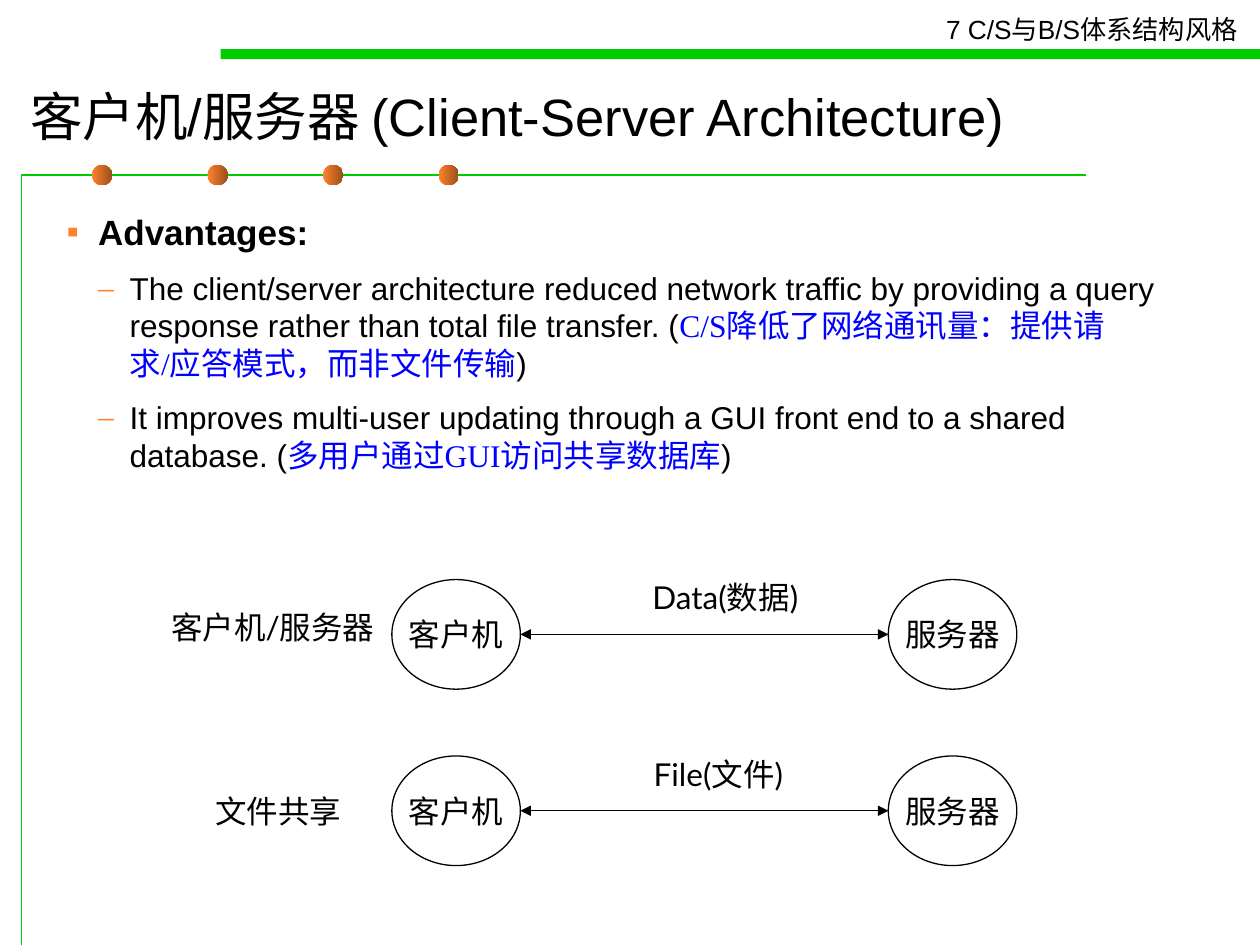
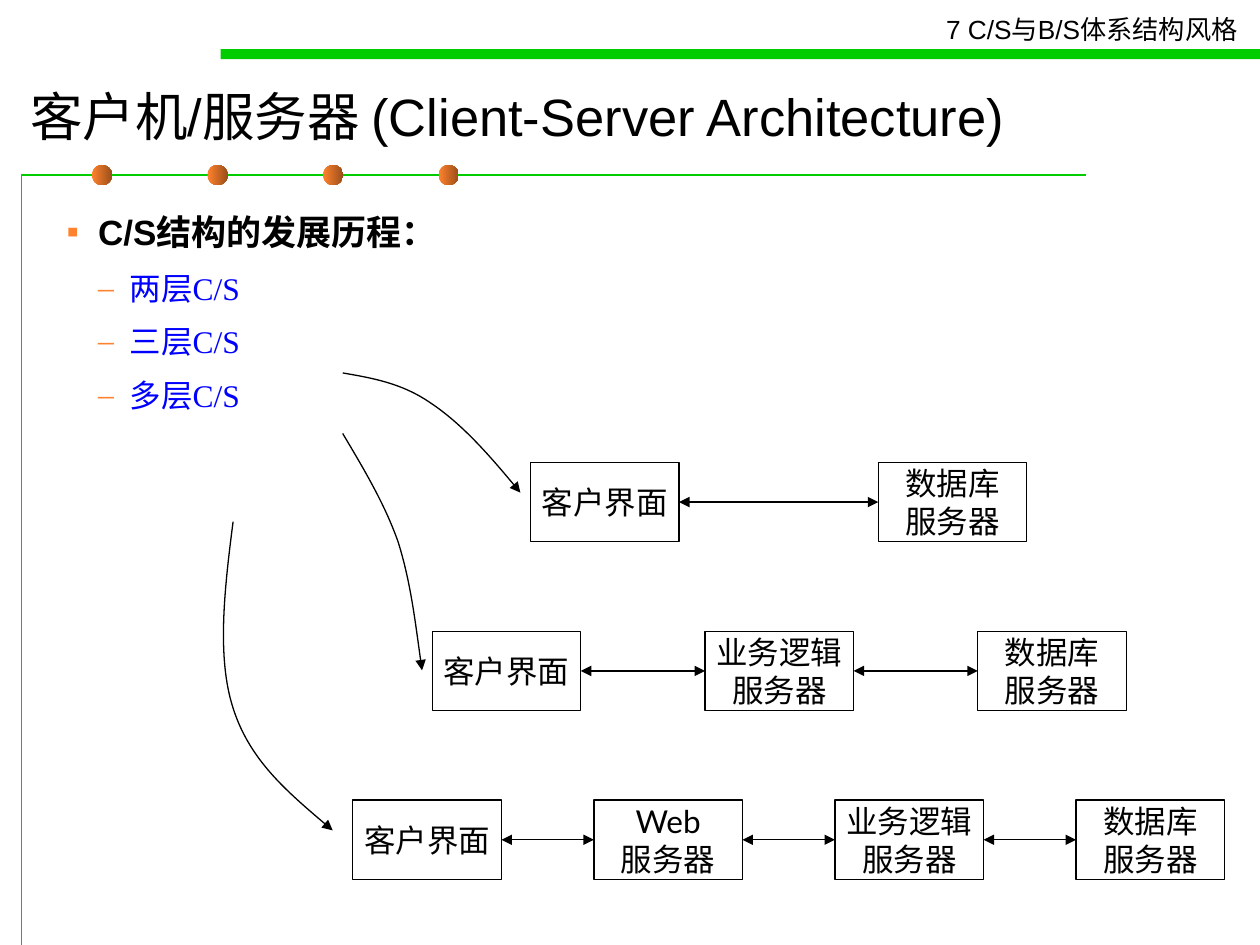
from lxml import etree
from pptx import Presentation
from pptx.dml.color import RGBColor
from pptx.enum.shapes import MSO_CONNECTOR, MSO_SHAPE
from pptx.enum.text import MSO_ANCHOR, MSO_AUTO_SIZE, PP_ALIGN
from pptx.oxml.ns import qn
from pptx.util import Inches, Pt

STRAIGHT = MSO_CONNECTOR.STRAIGHT
OVAL, RECTANGLE = MSO_SHAPE.OVAL, MSO_SHAPE.RECTANGLE
MIDDLE, CENTER = MSO_ANCHOR.MIDDLE, PP_ALIGN.CENTER
GROW = MSO_AUTO_SIZE.SHAPE_TO_FIT_TEXT
LEFT_SIDE, RIGHT_SIDE = 1, 3

COLORS = {"text": "000000", "paper": "FFFFFF", "green": "00CC00",
          "orange": "FF822D", "brown": "9B4F1B", "blue": "0000FF"}
HEADING, DIAGRAM, CHINESE = "Arial", "Lato", "Times New Roman"
CHAPTER = "7 C/S与B/S体系结构风格"
TITLE = "客户机/服务器 (Client-Server Architecture)"
# indent, space before, space after, size, bullet
LEVELS = [(0.25, 8.8, 3.7, 20, "▪"), (0.5, 5.6, 3.4, 18, "–")]


def rgb(name):
    return RGBColor.from_string(COLORS[name])


def style_font(font, size, name, color="text", bold=False):
    font.size, font.name, font.bold = Pt(size), name, bold
    font.color.rgb = rgb(color)


def style_line(line, color="text", width=0.75):
    line.color.rgb = rgb(color)
    line.width = Pt(width)


def add_arrowheads(line, *ends):
    for end in ends:
        etree.SubElement(line._get_or_add_ln(), qn(f"a:{end}"), type="triangle")


def add_text(page, box, text, size, font, wrap=False, grow=True):
    frame = page.shapes.add_textbox(*map(Inches, box)).text_frame
    frame.text = text
    frame.word_wrap = wrap
    if grow:
        frame.auto_size = GROW
    style_font(frame.paragraphs[0].runs[0].font, size, font)
    return frame


def add_node(page, kind, box, text):
    node = page.shapes.add_shape(kind, *map(Inches, box))
    node.shadow.inherit = False
    node.fill.solid()
    node.fill.fore_color.rgb = rgb("paper")
    style_line(node.line)
    frame = node.text_frame
    frame.text = text
    frame.word_wrap = False
    frame.vertical_anchor = MIDDLE
    for para in frame.paragraphs:
        para.alignment = CENTER
        style_font(para.runs[0].font, 18, DIAGRAM)
    return node


def add_double_arrow(page, start, end):
    """Arrow from the right side of one node to the left side of the next."""
    arrow = page.shapes.add_connector(
        STRAIGHT, start.left + start.width, start.top + start.height // 2,
        end.left, end.top + end.height // 2)
    etree.SubElement(arrow._element.spPr, qn("a:effectLst"))
    style_line(arrow.line)
    add_arrowheads(arrow.line, "headEnd", "tailEnd")
    return arrow


def add_outline(page, points, color="text", width=0.75):
    corners = [(Inches(x), Inches(y)) for x, y in points]
    builder = page.shapes.build_freeform(*corners[0])
    builder.add_line_segments(corners[1:], close=False)
    outline = builder.convert_to_shape()
    outline.shadow.inherit = False
    outline.fill.background()
    style_line(outline.line, color, width)
    return outline


def add_curved_arrow(page, points):
    """Turn each three points after the start into one Bezier segment."""
    curve = add_outline(page, points)
    path = next(curve._element.iter(qn("a:path")))
    segments = path.findall(qn("a:lnTo"))
    for first in range(0, len(segments), 3):
        bezier = etree.SubElement(path, qn("a:cubicBezTo"))
        for segment in segments[first:first + 3]:
            bezier.append(segment[0])
            path.remove(segment)
    add_arrowheads(curve.line, "tailEnd")


def add_frame(page):
    """Corner rule, dots, top band, chapter name and title."""
    add_outline(page, [(0.17, 7.5), (0.17, 1.39), (8.62, 1.39)], "green", 1)
    for index in range(4):
        dot = page.shapes.add_shape(OVAL, Inches(0.73 + index * 0.917),
                                    Inches(1.31), Inches(0.16), Inches(0.16))
        dot.shadow.inherit = False
        dot.line.fill.background()
        dot.fill.gradient()
        dot.fill.gradient_angle = 0
        for stop, color, position in zip(dot.fill.gradient_stops,
                                         ("orange", "brown"), (0, 1)):
            stop.color.rgb = rgb(color)
            stop.position = position
    band = page.shapes.add_shape(RECTANGLE, Inches(1.75), Inches(0.39),
                                 Inches(8.25), Inches(0.08))
    band.shadow.inherit = False
    band.fill.solid()
    band.fill.fore_color.rgb = rgb("green")
    band.line.fill.background()
    # The chapter name fills its box up to the right edge
    chapter = add_text(page, (7.41, 0.06, 2.59, 0.35), CHAPTER, 15, HEADING,
                       wrap=True, grow=False)
    chapter.margin_right = 0
    title = add_text(page, (0.14, 0.56, 9.29, 0.71), TITLE, 30, HEADING,
                     wrap=True, grow=False)
    title.vertical_anchor = MIDDLE


def add_bullet(para, indent, symbol):
    properties = para._p.get_or_add_pPr()
    properties.set("marL", str(Inches(indent)))
    properties.set("indent", str(-Inches(0.25)))
    color = etree.SubElement(properties, qn("a:buClr"))
    etree.SubElement(color, qn("a:srgbClr"), val=COLORS["orange"])
    etree.SubElement(properties, qn("a:buFont"), typeface=CHINESE)
    etree.SubElement(properties, qn("a:buChar"), char=symbol)


def add_body(page, heading, items):
    """Bold heading, then items made of (text, is_chinese) spans."""
    frame = page.shapes.add_textbox(Inches(0.43), Inches(1.62),
                                    Inches(8.98), Inches(5.59)).text_frame
    frame.word_wrap = True
    for index, spans in enumerate([[(heading, False)], *items]):
        level = min(index, 1)
        indent, before, after, size, symbol = LEVELS[level]
        para = frame.add_paragraph() if index else frame.paragraphs[0]
        para.level = level
        add_bullet(para, indent, symbol)
        if index:
            para.space_before = Pt(before)
        para.space_after = Pt(after)
        for text, is_chinese in spans:
            span = para.add_run()
            span.text = text
            style_font(span.font, size, CHINESE if is_chinese else HEADING,
                       "blue" if is_chinese else "text", bold=level == 0)


def add_exchange(page, top, message, message_box, label, label_box, wrap):
    """Client and server circles with the message that passes between them."""
    client, server = [add_node(page, OVAL, (left, top, 1.02, 0.87), text)
                      for left, text in ((3.11, "客户机"), (7.05, "服务器"))]
    add_double_arrow(page, client, server)
    for text, (left, offset, width), wraps in (
            (message, message_box, False), (label, label_box, wrap)):
        add_text(page, (left, top + offset, width, 0.4), text, 18, DIAGRAM, wraps)


def add_tier_row(page, top, first_left, last_left, names):
    """Evenly spaced tiers, each joined to the next."""
    pitch = (last_left - first_left) / (len(names) - 1)
    tiers = [add_node(page, RECTANGLE,
                      (first_left + index * pitch, top, 1.18, 0.63), name)
             for index, name in enumerate(names)]
    for start, end in zip(tiers, tiers[1:]):
        arrow = add_double_arrow(page, start, end)
        arrow.begin_connect(start, RIGHT_SIDE)
        arrow.end_connect(end, LEFT_SIDE)


def build_advantages(page):
    add_frame(page)
    add_body(page, "Advantages:", [
        [("The client/server architecture reduced network traffic by providing "
          "a query response rather than total file transfer. (", False),
         ("C/S降低了网络通讯量：提供请求/应答模式，而非文件传输", True), (")", False)],
        [("It improves multi-user updating through a GUI front end to a shared "
          "database. (", False),
         ("多用户通过GUI访问共享数据库", True), (")", False)],
    ])
    add_exchange(page, 4.6, "Data(数据)", (5.08, -0.06, 1.52),
                 "客户机/服务器", (1.26, 0.18, 1.91), True)
    add_exchange(page, 6, "File(文件)", (5.09, -0.06, 1.37),
                 "文件共享", (1.61, 0.24, 1.2), False)


def build_evolution(page):
    add_frame(page)
    add_body(page, "C/S结构的发展历程：",
             [[(f"{count}层C/S", True)] for count in "两三多"])
    client, database = "客户界面", "数据库\n服务器"
    logic, web = "业务逻辑\n服务器", "Web\n服务器"
    rows = [(4.21, 6.97, [client, database]),
            (3.43, 7.76, [client, logic, database]),
            (2.8, 8.54, [client, web, logic, database])]
    for index, row in enumerate(rows):
        add_tier_row(page, 3.67 + index * 1.34, *row)
    # Arrows from the list to the rows
    for points in (
            [(2.72, 2.96), (2.95, 3), (3.19, 3.04), (3.42, 3.2),
             (3.66, 3.36), (3.9, 3.63), (4.13, 3.91)],
            [(2.72, 3.44), (2.88, 3.71), (3.05, 3.99), (3.16, 4.3),
             (3.26, 4.62), (3.3, 4.97), (3.35, 5.32)],
            [(1.85, 4.14), (1.78, 4.68), (1.72, 5.22), (1.85, 5.62),
             (1.98, 6.03), (2.31, 6.31), (2.64, 6.59)]):
        add_curved_arrow(page, points)


def main():
    deck = Presentation()
    deck.slide_width, deck.slide_height = Inches(10), Inches(7.5)
    for build in (build_advantages, build_evolution):
        build(deck.slides.add_slide(deck.slide_layouts[6]))
    deck.save("out.pptx")


if __name__ == "__main__":
    main()
